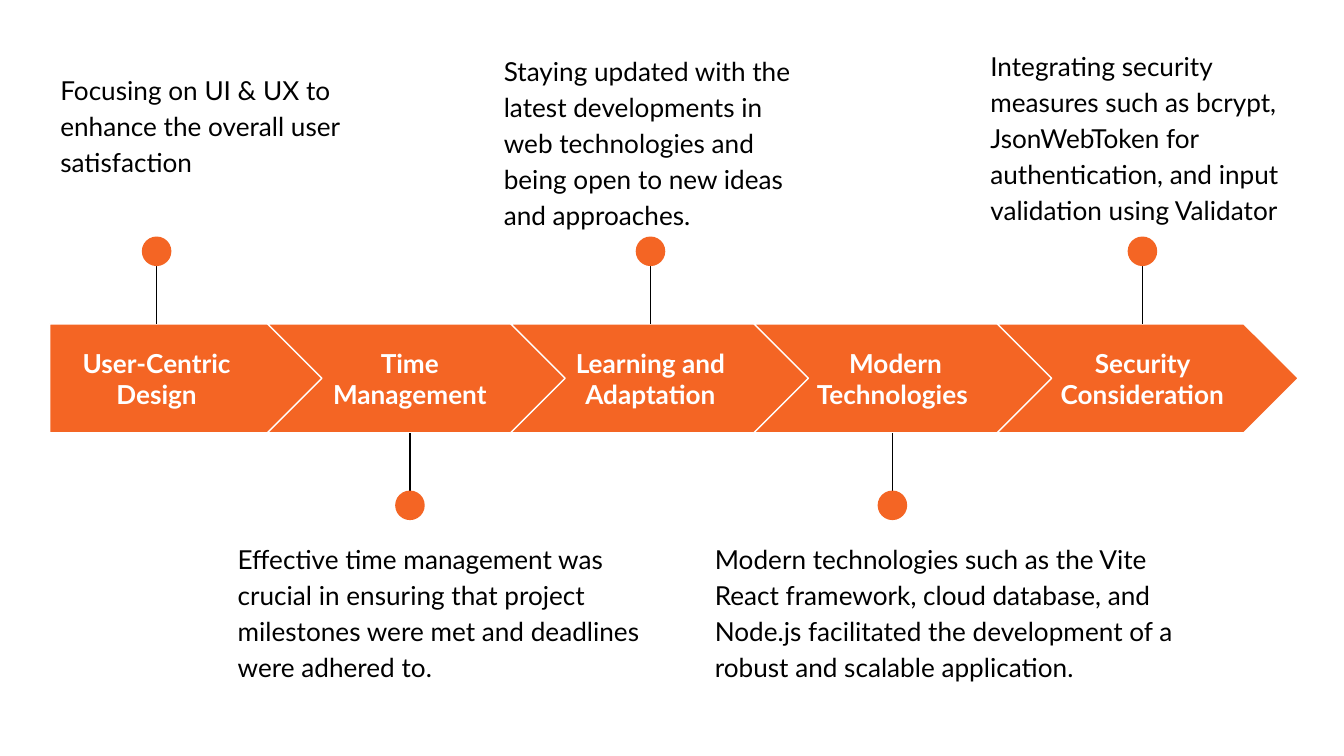
import pptx
import pptx.util
import pptx.dml.color
import pptx.enum.shapes
import pptx.enum.text
import pptx.oxml
from pptx.util import Inches, Pt

COLORS = {"accent": "F46524", "light": "FFFFFF", "text": "000000"}
FONT = "Lato"
SHAPES = pptx.enum.shapes.MSO_SHAPE
ALIGN = pptx.enum.text.PP_ALIGN
ANCHOR = pptx.enum.text.MSO_ANCHOR

# Arrow band: left, top, width, height
BAND = (0.37, 2.41, 9.29, 0.81)
STEP_PITCH = 1.81
CHEVRON_WIDTH = 2.24
LABEL_HEIGHT = 0.51
STEM = 0.54
DOT = 0.22

# Title, title left and width, description, description box, side of the band
STEPS = [
    ("User-Centric Design", 0.37, 1.59,
     "Focusing on UI & UX to enhance the overall user satisfaction",
     (0.35, 0.42, 2.45, 0.99), "above"),
    ("Time Management", 2.33, 1.44,
     "Effective time management was crucial in ensuring that project "
     "milestones were met and deadlines were adhered to.",
     (1.67, 3.91, 3.33, 1.71), "below"),
    ("Learning and Adaptation", 4.12, 1.44,
     "Staying updated with the latest developments in web technologies "
     "and being open to new ideas and approaches.",
     (3.65, 0.28, 2.45, 1.43), "above"),
    (" Modern Technologies", 5.92, 1.44,
     "Modern technologies such as the Vite React framework, cloud database, "
     "and Node.js facilitated the development of a robust and scalable "
     "application.",
     (5.22, 3.91, 3.89, 1.21), "below"),
    ("Security Consideration", 7.78, 1.44,
     "Integrating security measures such as bcrypt, JsonWebToken for "
     "authentication, and input validation using Validator",
     (7.27, 0.24, 2.45, 1.53), "above"),
]


def rgb(name):
    return pptx.dml.color.RGBColor.from_string(COLORS[name])


def add_filled(slide, kind, box):
    """Add a flat accent-coloured shape without an outline."""
    shape = slide.shapes.add_shape(kind, *map(Inches, box))
    shape.shadow.inherit = False
    shape.fill.solid()
    shape.fill.fore_color.rgb = rgb("accent")
    shape.line.fill.background()
    return shape


def add_text(slide, box, text, color, bold=False):
    """Add a wrapped text box and return its frame and paragraph."""
    frame = slide.shapes.add_textbox(*map(Inches, box)).text_frame
    frame.word_wrap = True
    frame.margin_left = frame.margin_right = Inches(0.1)
    frame.margin_top = frame.margin_bottom = Inches(0.1)
    frame.text = text
    paragraph = frame.paragraphs[0]
    font = paragraph.runs[0].font
    font.name, font.size, font.bold = FONT, Pt(14), bold
    font.color.rgb = rgb(color)
    return frame, paragraph


def add_arrow_band(slide, box):
    left, top, width, height = box
    first_tip = left + width - STEP_PITCH * (len(STEPS) - 1)
    for index in range(len(STEPS)):
        tip = first_tip + STEP_PITCH * index
        kind = SHAPES.CHEVRON if index else SHAPES.PENTAGON
        start = tip - CHEVRON_WIDTH if index else left
        arrow = add_filled(slide, kind, (start, top, tip - start, height))
        arrow.adjustments[0] = 0.5
        arrow.line.color.rgb = rgb("light")
        arrow.line.width = Pt(0.75)


def add_title(slide, box, title):
    frame, paragraph = add_text(slide, box, title, "light", bold=True)
    frame.vertical_anchor = ANCHOR.MIDDLE
    paragraph.alignment = ALIGN.CENTER


def add_marker(slide, x, band, side):
    """Add a stem from the band's edge that ends in a dot."""
    _, top, _, height = band
    edge, end = ((top, top - STEM) if side == "above"
                 else (top + height, top + height + STEM))
    stem = slide.shapes.add_connector(
        pptx.enum.shapes.MSO_CONNECTOR.STRAIGHT,
        Inches(x), Inches(end), Inches(x), Inches(edge))
    stem.line.color.rgb = rgb("text")
    stem.line.width = Pt(0.75)
    properties = stem._element.spPr
    properties.append(pptx.oxml.parse_xml(
        '<a:effectLst xmlns:a='
        '"http://schemas.openxmlformats.org/drawingml/2006/main"/>'))
    add_filled(slide, SHAPES.OVAL, (x - DOT / 2, end - DOT / 2, DOT, DOT))


def add_description(slide, box, text):
    _, paragraph = add_text(slide, box, text, "text")
    paragraph.line_spacing = 1.15
    paragraph.space_after = Pt(16)


def main():
    deck = pptx.Presentation()
    deck.slide_width = Inches(10)
    deck.slide_height = deck.slide_width * 9 // 16
    slide = deck.slides.add_slide(deck.slide_layouts[6])

    add_arrow_band(slide, BAND)
    title_top = BAND[1] + (BAND[3] - LABEL_HEIGHT) / 2
    for title, left, width, description, description_box, side in STEPS:
        add_title(slide, (left, title_top, width, LABEL_HEIGHT), title)
        add_marker(slide, left + width / 2, BAND, side)
        add_description(slide, description_box, description)

    deck.save("out.pptx")


if __name__ == "__main__":
    main()
